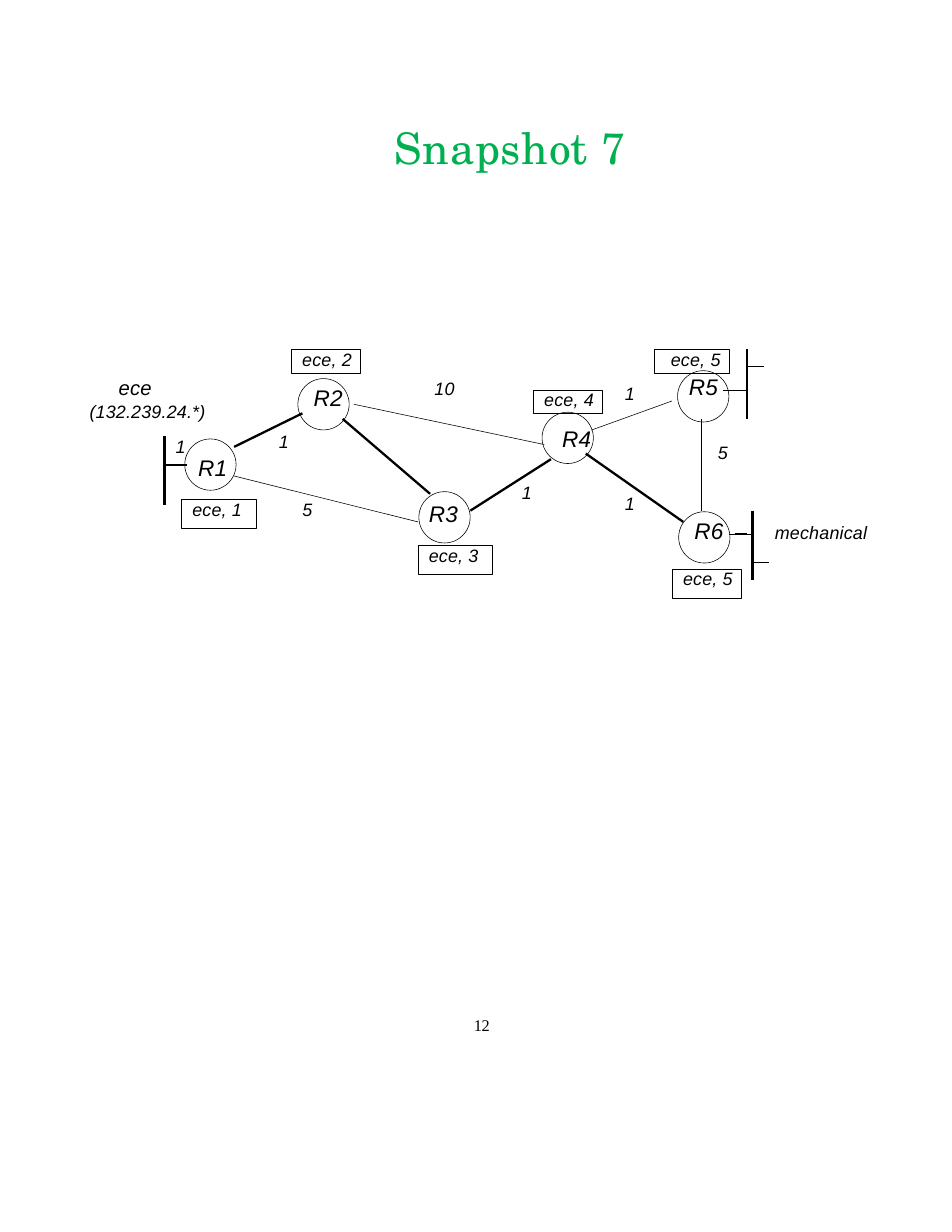
from dataclasses import dataclass

from lxml.etree import SubElement
from pptx import Presentation
from pptx.dml.color import RGBColor
from pptx.enum.shapes import MSO_CONNECTOR, MSO_SHAPE
from pptx.enum.text import MSO_ANCHOR, PP_ALIGN
from pptx.oxml.ns import qn
from pptx.util import Pt


@dataclass(frozen=True)
class Theme:
    ink: RGBColor = RGBColor(0, 0, 0)
    green: RGBColor = RGBColor(0x00, 0xB0, 0x50)
    sans: str = "Arial"
    serif: str = "Times New Roman"
    school: str = "TeX Gyre Schola"
    head: float = 28
    node: float = 14.5
    net: float = 13
    note: float = 11.5
    page: float = 10.5
    thin: float = 0.37
    bold: float = 1.48


THEME = Theme()
SIZE = 33

ROUTERS = [
    ("R1", 62.8, 58.2, 8.6, 9.4),
    ("R2", 135.5, 19.4, 10.1, 3.6),
    ("R3", 213.3, 92.1, 6.4, 5),
    ("R4", 292.5, 41, 12.9, 7.9),
    ("R5", 379.6, 14.3, 7.2, 1.5),
    ("R6", 380.3, 105, 10.1, 3.6),
]
THIN = [
    (94.5, 82, 212.6, 111.5),
    (171.5, 35.9, 293.9, 61.8),
    (324.2, 52.5, 376, 33.8),
    (394.7, 45.3, 394.7, 104.3),
    (409.1, 26.6, 424.2, 26.6),
    (412.7, 119.4, 427.8, 119.4),
    (424.2, 11.4, 435, 11.4),
    (427.8, 137.4, 438.6, 137.4),
]
BOLD = [
    (94.5, 63.3, 138.4, 41.7),
    (164.3, 45.3, 220.5, 93.5),
    (246.4, 104.3, 298.2, 71.2),
    (320.6, 67.6, 383.2, 111.5),
    (49.8, 74.8, 64.2, 74.8),
    (416.3, 119.4, 424.2, 119.4),
    (49.8, 56.1, 49.8, 100.7),
    (424.2, 0.6, 424.2, 45.3),
    (427.8, 104.3, 427.8, 149),
]
COSTS = [
    ("1", 57, 56.1),
    ("1", 123.3, 52.5),
    ("5", 138.4, 96.4),
    ("10", 223.3, 18.6),
    ("1", 279.5, 85.6),
    ("1", 345.7, 22.2),
    ("1", 345.7, 92.8),
    ("5", 405.5, 59.7),
]
ROUTES = [
    ("ece, 1", 60.6, 97.1, 48.2, 18.7, 7.2),
    ("ece, 2", 131.2, 0.6, 44.6, 15.1, 7.2),
    ("ece, 3", 212.6, 126.6, 48.2, 18.7, 7.2),
    ("ece, 4", 286.7, 26.6, 44.6, 15.1, 7.2),
    ("ece, 5", 364.5, 0.6, 48.2, 15.1, 10.8),
    ("ece, 5", 376, 141.8, 44.6, 18.7, 7.2),
]


def style(para, face, size, color, slant=False, space=0.1):
    font = para.font
    font.name, font.size, font.italic = face, Pt(size), slant
    font.color.rgb = color
    font._rPr.set("spc", str(round(space * 100)))


def frame(shape, inset=0):
    text = shape.text_frame
    text.word_wrap = True
    text.vertical_anchor = MSO_ANCHOR.TOP
    text.margin_left = Pt(inset)
    text.margin_top = text.margin_right = text.margin_bottom = 0
    return text


def label(slide, words, left, top, width, height, size, space=0.2):
    box = slide.shapes.add_textbox(Pt(left), Pt(top), Pt(width), Pt(height))
    text = frame(box)
    text.text = words
    for para in text.paragraphs:
        style(para, THEME.sans, size, THEME.ink, True, space)
    return text


def outline(slide, kind, left, top, width, height):
    shape = slide.shapes.add_shape(kind, Pt(left), Pt(top), Pt(width), Pt(height))
    shape.shadow.inherit = False
    shape.fill.background()
    shape.line.color.rgb = THEME.ink
    shape.line.width = Pt(THEME.thin)
    return shape


def link(slide, left, top, ends, weight):
    x, y, u, v = ends
    line = slide.shapes.add_connector(
        MSO_CONNECTOR.STRAIGHT, Pt(left + x), Pt(top + y), Pt(left + u), Pt(top + v)
    )
    line.line.color.rgb = THEME.ink
    line.line.width = Pt(weight)
    SubElement(line._element.spPr, qn("a:effectLst"))


def route(slide, words, left, top, width, height, inset):
    shape = outline(slide, MSO_SHAPE.RECTANGLE, left, top, width, height)
    text = frame(shape, inset)
    text.text = words
    para = text.paragraphs[0]
    para.alignment = PP_ALIGN.LEFT
    para.line_spacing = Pt(13.2)
    style(para, THEME.sans, THEME.note, THEME.ink, True)


def network(slide, left, top):
    for name, x, y, dx, dy in ROUTERS:
        outline(slide, MSO_SHAPE.OVAL, left + x, top + y, SIZE, SIZE)
    for weight, lines in ((THEME.thin, THIN), (THEME.bold, BOLD)):
        for ends in lines:
            link(slide, left, top, ends, weight)
    for name, x, y, dx, dy in ROUTERS:
        label(slide, name, left + x + dx, top + y + dy, 21, 18.7, THEME.node)
    for cost, x, y in COSTS:
        label(slide, cost, left + x, top + y, 8 * len(cost), 15.1, THEME.note)
    for words, x, y, *rest in ROUTES:
        route(slide, words, left + x, top + y, *rest)
    label(slide, "mechanical", left + 442.2, top + 111.5, 64, 15.1, THEME.note, 0.1)
    text = label(
        slide, "ece\n(132.239.24.*)", left + 1.6, top + 17.2, 78, 31.7, THEME.note, 0.1
    )
    net, mask = text.paragraphs
    net.font.size = Pt(THEME.net)
    net._p.get_or_add_pPr().set("marL", str(Pt(18.7)))
    mask.space_before = Pt(0.7)


def title(slide, left, top, width, height):
    shape = slide.shapes.title
    shape.left, shape.top = Pt(left), Pt(top)
    shape.width, shape.height = Pt(width), Pt(height)
    text = frame(shape)
    text.text = "Snapshot 7"
    para = text.paragraphs[0]
    para.alignment = PP_ALIGN.CENTER
    style(para, THEME.school, THEME.head, THEME.green, space=0.5)


def folio(slide, left, top, width, height):
    box = slide.shapes.add_textbox(Pt(left), Pt(top), Pt(width), Pt(height))
    text = frame(box, 2.2)
    text.margin_top = Pt(0.7)
    text.text = "12"
    para = text.paragraphs[0]
    para.line_spacing = Pt(12.3)
    style(para, THEME.serif, THEME.page, THEME.ink, space=-0.1)


def main():
    deck = Presentation()
    deck.slide_width, deck.slide_height = Pt(612), Pt(792)
    slide = deck.slides.add_slide(deck.slide_layouts[5])
    title(slide, 108, 77.8, 440, 33.8)
    network(slide, 56, 224)
    folio(slide, 302.4, 652.3, 14.4, 13)
    deck.save("out.pptx")


if __name__ == "__main__":
    main()
